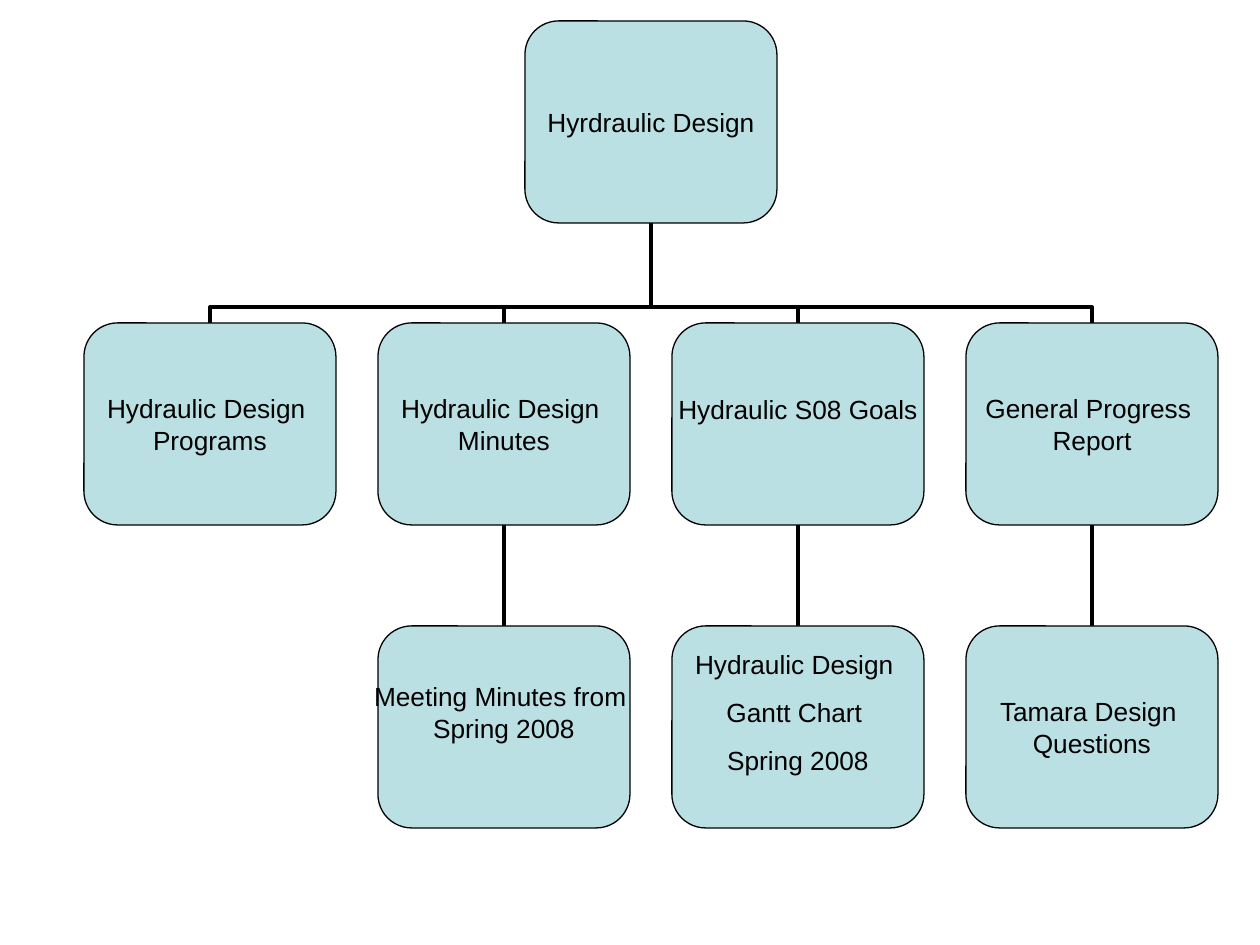
from lxml import etree
from pptx import Presentation
from pptx.dml.color import RGBColor
from pptx.enum.shapes import MSO_CONNECTOR, MSO_SHAPE
from pptx.enum.text import MSO_ANCHOR, PP_ALIGN
from pptx.oxml.ns import qn
from pptx.util import Pt

ELBOW = MSO_CONNECTOR.ELBOW
ROUNDED = MSO_SHAPE.ROUNDED_RECTANGLE
MIDDLE = MSO_ANCHOR.MIDDLE
CENTER = PP_ALIGN.CENTER

EMU_PER_PX = 914400 // 126
SLIDE_WIDTH, SLIDE_HEIGHT = 1260, 945
COLORS = {"box": "BBE0E3", "ink": "000000"}
FONT = "Arial"

# Chart grid
BOX_WIDTH, BOX_HEIGHT = 252, 202
LEFT, COLUMN_STEP = 84, 294
ROW_TOPS = (21, 323, 626)
ROOT_COLUMN = 1.5
BEND = 15600  # share of the height at which an elbow turns, in 1/100000
LINE_SPACE = 30  # one text line, kept free under raised text

# key: (column, row, lines, space before in points, bottom inset, parent key)
BOXES = {
    "root": (ROOT_COLUMN, 0, ["Hyrdraulic Design"], 0, 0, None),
    "programs": (0, 1, ["Hydraulic Design ", "Programs"], 0, 0, "root"),
    "minutes": (1, 1, ["Hydraulic Design ", "Minutes"], 0, 0, "root"),
    "goals": (2, 1, ["Hydraulic S08 Goals"], 9.4, LINE_SPACE, "root"),
    "progress": (3, 1, ["General Progress ", "Report"], 0, 0, "root"),
    "meetings": (1, 2, ["Meeting Minutes from ", "Spring 2008"], 0, LINE_SPACE, "minutes"),
    "gantt": (2, 2, ["Hydraulic Design ", "Gantt Chart ", "Spring 2008"], 9.4, LINE_SPACE, "goals"),
    "questions": (3, 2, ["Tamara Design ", "Questions"], 0, 0, "progress"),
}


def px(value):
    return round(value * EMU_PER_PX)


def color(name):
    return RGBColor.from_string(COLORS[name])


def box_position(key):
    column, row = BOXES[key][:2]
    return round(LEFT + column * COLUMN_STEP), ROW_TOPS[row]


def add_link(slide, child, parent):
    """Elbow from the top of the child up to the bottom of its parent."""
    child_left, child_top = box_position(child)
    parent_left, parent_top = box_position(parent)
    offset = child_left - parent_left
    rise = child_top - parent_top - BOX_HEIGHT
    center_x = (child_left + parent_left + BOX_WIDTH) / 2
    center_y = child_top - rise / 2

    # The frame lies on its side; a quarter turn makes the elbow start upright
    side = 1 if offset < 0 else -1
    half_width, half_height = side * rise / 2, abs(offset) / 2
    connector = slide.shapes.add_connector(
        ELBOW,
        px(center_x + half_width), px(center_y + half_height),
        px(center_x - half_width), px(center_y - half_height))
    properties = connector._element.spPr
    quarter_turns = 1 if offset < 0 else 3
    properties.find(qn("a:xfrm")).set("rot", str(quarter_turns * 5400000))
    adjustments = properties.find(qn("a:prstGeom")).find(qn("a:avLst"))
    etree.SubElement(adjustments, qn("a:gd"), name="adj1", fmla=f"val {BEND}")

    connector.line.color.rgb = color("ink")
    connector.line.width = Pt(2.25)
    etree.SubElement(properties, qn("a:effectLst"))


def add_box(slide, key):
    lines, space_before, bottom_inset = BOXES[key][2:5]
    left, top = box_position(key)
    shape = slide.shapes.add_shape(
        ROUNDED, px(left), px(top), px(BOX_WIDTH), px(BOX_HEIGHT))
    shape.shadow.inherit = False
    shape.fill.solid()
    shape.fill.fore_color.rgb = color("box")
    shape.line.color.rgb = color("ink")
    shape.line.width = Pt(0.75)

    frame = shape.text_frame
    frame.word_wrap = False
    frame.vertical_anchor = MIDDLE
    frame.margin_left = frame.margin_right = frame.margin_top = 0
    frame.margin_bottom = px(bottom_inset)
    for index, line in enumerate(lines):
        paragraph = frame.add_paragraph() if index else frame.paragraphs[0]
        paragraph.alignment = CENTER
        paragraph.space_before = Pt(space_before)
        run = paragraph.add_run()
        run.text = line
        run.font.name = FONT
        run.font.size = Pt(15)
        run.font.color.rgb = color("ink")


def main():
    presentation = Presentation()
    presentation.slide_width = px(SLIDE_WIDTH)
    presentation.slide_height = px(SLIDE_HEIGHT)
    slide = presentation.slides.add_slide(presentation.slide_layouts[6])

    # Links lie behind the boxes
    for key, box in BOXES.items():
        if box[-1]:
            add_link(slide, key, box[-1])
    for key in BOXES:
        add_box(slide, key)

    presentation.save("out.pptx")


if __name__ == "__main__":
    main()
